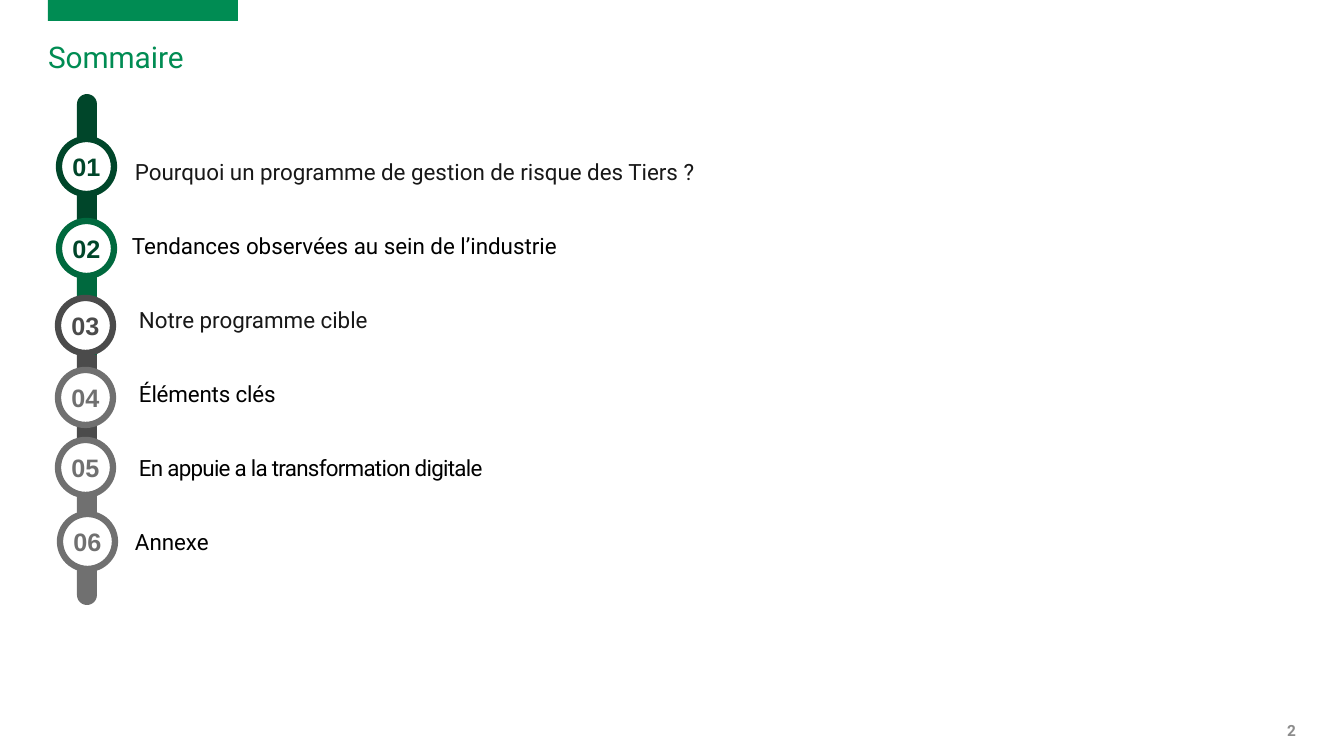
import pptx
import pptx.dml.color
import pptx.enum.shapes
import pptx.enum.text
import pptx.util

RGB = pptx.dml.color.RGBColor
SHAPE = pptx.enum.shapes.MSO_SHAPE
ALIGN = pptx.enum.text.PP_ALIGN
ANCHOR = pptx.enum.text.MSO_ANCHOR
GREEN = RGB(0x00, 0x8C, 0x53)
DARK_GREEN = RGB(0x00, 0x46, 0x2A)
MID_GREEN = RGB(0x00, 0x69, 0x3E)
DARK_GREY = RGB(0x4B, 0x4B, 0x4B)
GREY = RGB(0x70, 0x70, 0x70)
PAGE_GREY = RGB(0x8C, 0x8C, 0x8C)
INK = RGB(0x18, 0x18, 0x18)
BLACK = RGB(0x00, 0x00, 0x00)
WHITE = RGB(0xFF, 0xFF, 0xFF)
EMU_PER_PX = 914400 / 100.8


def px(*lengths):
    return [pptx.util.Emu(round(length * EMU_PER_PX)) for length in lengths]


def write(box, text, font, size, color, bold=False, align=ALIGN.LEFT, anchor=ANCHOR.TOP):
    frame = box.text_frame
    frame.margin_left = frame.margin_top = frame.margin_right = frame.margin_bottom = 0
    frame.word_wrap = True
    frame.vertical_anchor = anchor
    para = frame.paragraphs[0]
    para.text = text
    para.alignment = align
    para.font.name = font
    para.font.size = pptx.util.Pt(size)
    para.font.bold = bold
    para.font.color.rgb = color
    return para


deck = pptx.Presentation()
deck.slide_width, deck.slide_height = px(1344, 756)
page = deck.slides.add_slide(deck.slide_layouts[5])

title = page.shapes.title
title.left, title.top, title.width, title.height = px(48, 43, 1243, 39)
para = write(title, "Sommaire", "Roboto", 21.3, GREEN)
para.line_spacing = 0.9
para.space_before = pptx.util.Pt(6)

bars = [
    (SHAPE.RECTANGLE, 48, 0, 190, 21, GREEN, []),
    (SHAPE.RECTANGLE, 77, 341, 20, 133, DARK_GREY, []),
    (SHAPE.ROUND_2_SAME_RECTANGLE, 77, 472, 20, 133, GREY, [0, 0.5]),
    (SHAPE.ROUND_2_SAME_RECTANGLE, 77, 94, 20, 143, DARK_GREEN, [0.5, 0]),
    (SHAPE.ROUND_2_SAME_RECTANGLE, 77, 223, 20, 132, MID_GREEN, [0.5, 0]),
]
for kind, left, top, width, height, color, rounding in bars:
    bar = page.shapes.add_shape(kind, *px(left, top, width, height))
    for index, amount in enumerate(rounding):
        bar.adjustments[index] = amount
    bar.shadow.inherit = False
    bar.fill.solid()
    bar.fill.fore_color.rgb = color
    bar.line.fill.background()

chapters = [
    (59, 139, MID_GREEN, DARK_GREEN, 135, INK, 0, "Pourquoi un programme de gestion de risque des Tiers ?"),
    (59, 221, MID_GREEN, DARK_GREEN, 132, BLACK, 0, "Tendances observées au sein de l’industrie"),
    (58, 298, DARK_GREY, DARK_GREY, 139, INK, 0, "Notre programme cible"),
    (58, 370, GREY, GREY, 139, BLACK, -10, "Éléments clés"),
    (58, 440, GREY, GREY, 139, BLACK, -50, "En appuie a la transformation digitale"),
    (60, 514, GREY, GREY, 135, BLACK, 0, "Annexe"),
]
chapters[0] = chapters[0][:2] + (DARK_GREEN,) + chapters[0][3:]
for index, (left, top, ring, number_color, text_left, ink, spacing, text) in enumerate(chapters):
    circle = page.shapes.add_shape(SHAPE.OVAL, *px(left, top, 55, 55))
    circle.shadow.inherit = False
    circle.fill.solid()
    circle.fill.fore_color.rgb = WHITE
    circle.line.color.rgb = ring
    circle.line.width = pptx.util.Pt(4.5)
    write(circle, f"{index + 1:02}", "Arial", 18, number_color, True, ALIGN.CENTER, ANCHOR.MIDDLE)

    label = page.shapes.add_textbox(*px(text_left, 158 + 74 * index, 574, 27))
    para = write(label, text, "Roboto", 16, ink)
    if spacing:
        para.runs[0].font._element.set("spc", str(spacing))

number = page.shapes.add_textbox(*px(1212, 704, 84, 52))
write(number, "2", "Roboto", 11, PAGE_GREY, True, ALIGN.RIGHT, ANCHOR.MIDDLE)

deck.save("out.pptx")
